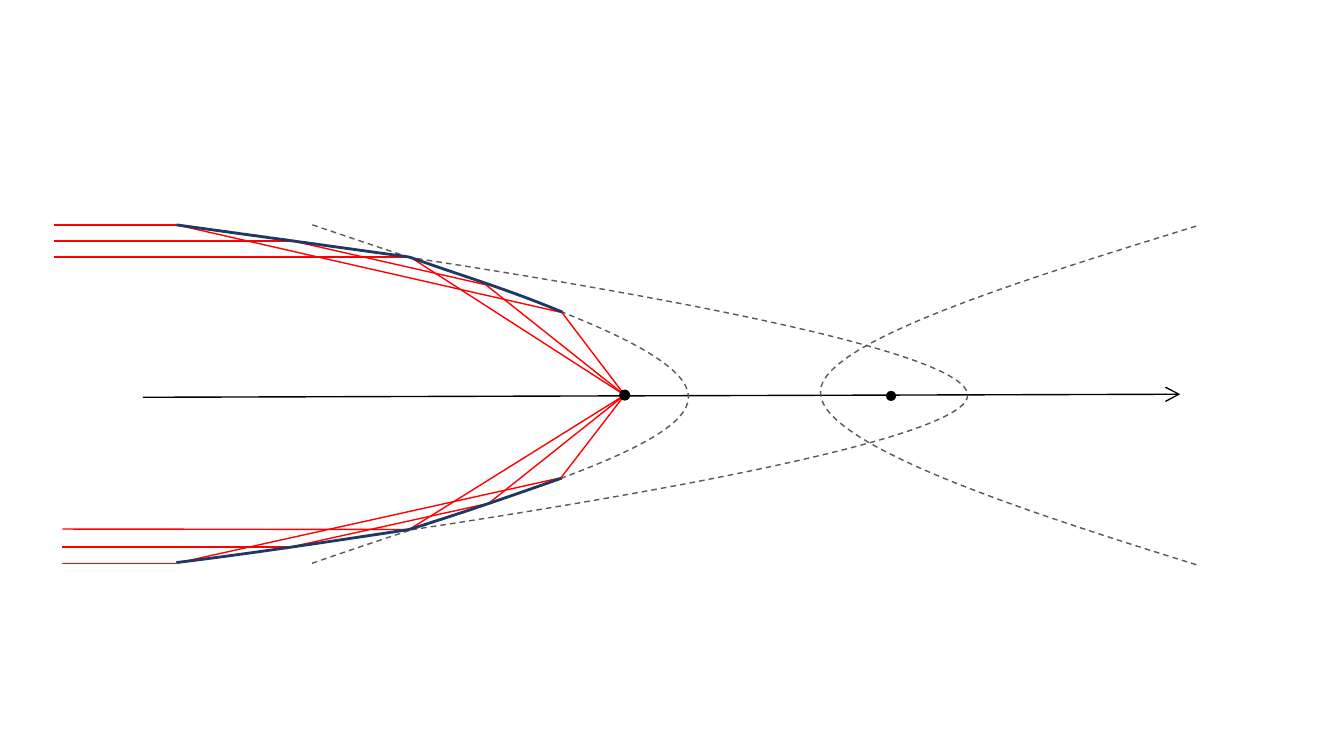
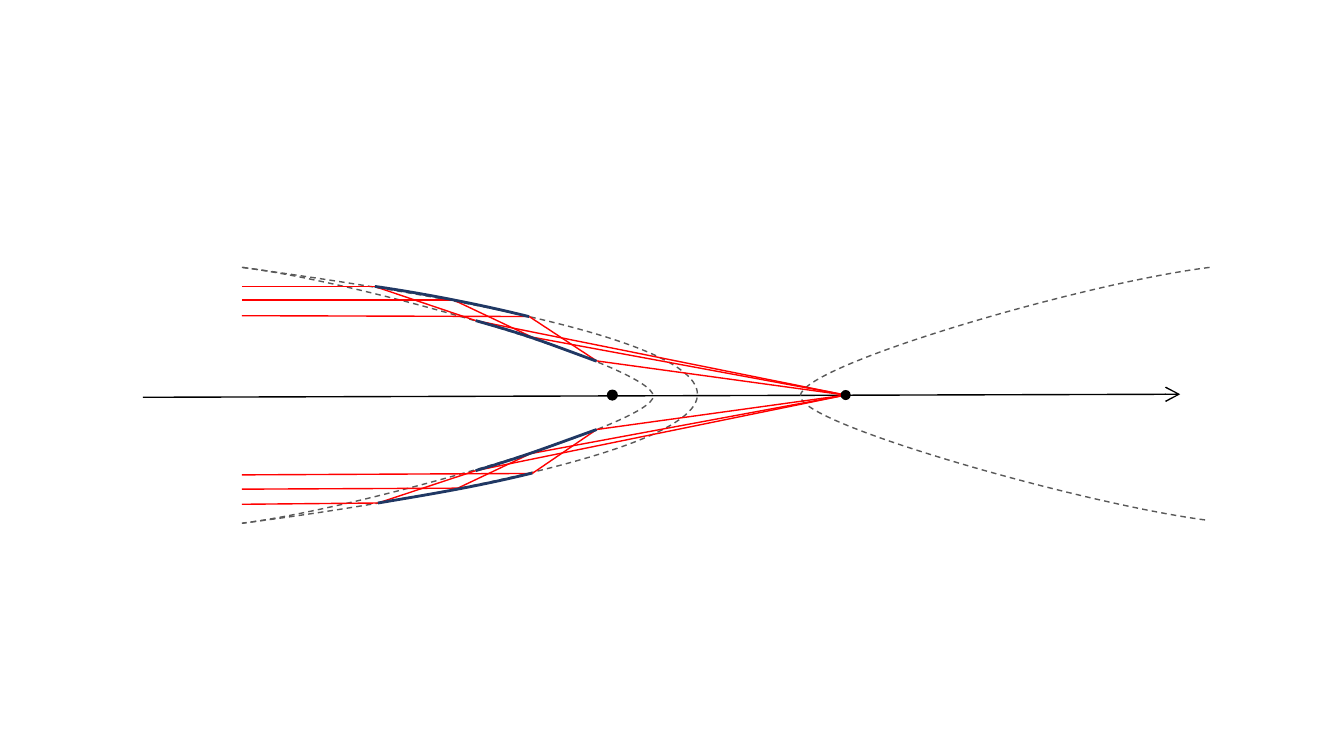
"""Two ray diagrams of nested grazing-incidence mirrors."""
import itertools

import pptx
import pptx.dml.color
import pptx.enum.dml
import pptx.enum.shapes
import pptx.oxml
import pptx.oxml.ns
import pptx.util

Pt = pptx.util.Pt

BLACK, GRAY, RED, NAVY = "000000", "595959", "FF0000", "203864"
AXIS = ((102, 283.8), (843, 281.6))

DIAGRAMS = [
    {
        "focus": (446.2, 282.2),
        "dots": [((636.5, 282.8), 7.2), ((446.2, 282.2), 7.9)],
        "conics": [
            [(126, 160.6), (193.7, 168.5), (690.5, 236.2), (691.2, 282.2),
             (691.9, 326.2), (208.1, 391.7), (126, 401.8)],
            [(223.2, 160.6), (349.9, 203.8), (491.8, 246.2), (491.8, 283.7),
             (491.8, 319.7), (359.3, 355), (222.5, 402.5)],
            [(854.6, 403.4), (730.8, 365), (585.4, 317.5), (586.1, 280.1),
             (585.4, 244.8), (729.4, 200.2), (854.6, 161.5)],
        ],
        "rays": [
            [(38.9, 160.6), (126, 160.6), (401.4, 223.2)],
            [(38.9, 172.1), (209, 172.1), (347, 203.4)],
            [(38.9, 183.6), (293, 183.6)],
            [(44.6, 402.3), (126, 402.3), (400.7, 341.3)],
            [(44.6, 390.7), (207.7, 390.7), (349, 359.6)],
            [(44.6, 377.9), (292.3, 378.2)],
        ],
        "mirrors": [
            [(126, 401.8), (180, 395.3), (236.9, 386.6), (292.3, 378.2)],
            [(292.3, 378.2), (338.4, 363.6), (358.6, 356.4), (401, 341.6)],
            [(292.3, 183.6), (332.6, 198), (360.7, 205.9), (401.8, 223)],
            [(126, 160.6), (292.3, 183.6)],
        ],
    },
    {
        "focus": (604.1, 282.2),
        "dots": [((437.4, 282.2), 7.9), ((604.1, 282.2), 7.2)],
        "conics": [
            [(173.5, 191), (241.2, 200.9), (497.5, 234.7), (498.2, 281.5),
             (499, 326.2), (254.9, 363.6), (172.8, 373.7)],
            [(172.8, 191), (263.5, 202.3), (466.6, 262.1), (466.6, 283),
             (466.6, 303.1), (261.4, 362.2), (173.5, 373.7)],
            [(864, 191), (773.3, 202.3), (571, 261.4), (571.7, 283),
             (571.7, 303.1), (776.2, 360.7), (863.3, 371.7)],
        ],
        "rays": [
            [(172.8, 204.7), (267.8, 204.7), (339.8, 229)],
            [(172.8, 214.3), (324, 214.3), (380, 240.8)],
            [(172.8, 225.5), (378, 226.1), (426.2, 257.8)],
            [(172.8, 360.2), (270, 359.3), (339.8, 336.2)],
            [(172.8, 349.4), (327, 348.7), (379, 324)],
            [(172.8, 339.2), (380.2, 338.2), (426.2, 306.8)],
        ],
        "mirrors": [
            [(270, 359.3), (304.6, 353.5), (339.8, 347.8), (380.2, 337.9)],
            [(267.8, 204.6), (301.7, 209.5), (342.7, 217.4), (378, 226.2)],
            [(339.8, 336.2), (378, 324.7), (382.3, 322.6), (426.2, 306.8)],
            [(339.8, 229), (378, 239.8), (382.3, 241.9), (426.2, 258)],
        ],
    },
]


def color(value):
    return pptx.dml.color.RGBColor.from_string(value)


def element(markup):
    tag, rest = markup.split(" ", 1) if " " in markup else (markup, "")
    return pptx.oxml.parse_xml(
        f"<a:{tag} {pptx.oxml.ns.nsdecls('a')} {rest}/>")


def style_line(line, value, width):
    line.color.rgb = color(value)
    line.width = Pt(width)


def add_line(slide, start, end, value):
    connector = slide.shapes.add_connector(
        pptx.enum.shapes.MSO_CONNECTOR.STRAIGHT,
        *(Pt(number) for number in start + end))
    style_line(connector.line, value, 1)
    connector._element.spPr.append(element("effectLst"))
    return connector


def add_axis(slide):
    connector = add_line(slide, *AXIS, BLACK)
    connector.line._get_or_add_ln().append(
        element("tailEnd type='arrow' w='lg' len='lg'"))


def bend_segments(shape, controls):
    lines = shape._element.findall(".//" + pptx.oxml.ns.qn("a:lnTo"))
    for index, line in enumerate(lines):
        curve = element("cubicBezTo")
        for x, y in controls[3 * index + 1:3 * index + 4]:
            curve.append(element(
                f"pt x='{Pt(x) - shape.left}' y='{Pt(y) - shape.top}'"))
        line.getparent().replace(line, curve)


def add_curve(slide, controls, value, width):
    straight = len(controls) == 2
    anchors = controls if straight else controls[::3]
    points = [(Pt(x), Pt(y)) for x, y in anchors]
    builder = slide.shapes.build_freeform(*points[0])
    builder.add_line_segments(points[1:], close=False)
    shape = builder.convert_to_shape()
    if not straight:
        bend_segments(shape, controls)
    shape.shadow.inherit = False
    shape.fill.background()
    style_line(shape.line, value, width)
    return shape


def add_dot(slide, center, diameter):
    left, top = (Pt(number - diameter / 2) for number in center)
    shape = slide.shapes.add_shape(
        pptx.enum.shapes.MSO_SHAPE.OVAL, left, top, Pt(diameter), Pt(diameter))
    shape.shadow.inherit = False
    shape.fill.solid()
    shape.fill.fore_color.rgb = color(BLACK)
    shape.line.fill.background()


def add_diagram(slide, diagram):
    add_axis(slide)
    for conic in diagram["conics"]:
        shape = add_curve(slide, conic, GRAY, 1)
        shape.line.dash_style = pptx.enum.dml.MSO_LINE.DASH
    for ray in diagram["rays"]:
        for start, end in itertools.pairwise(ray + [diagram["focus"]]):
            add_line(slide, start, end, RED)
    for mirror in diagram["mirrors"]:
        add_curve(slide, mirror, NAVY, 2)
    for center, diameter in diagram["dots"]:
        add_dot(slide, center, diameter)


def main():
    presentation = pptx.Presentation()
    presentation.slide_width, presentation.slide_height = Pt(960), Pt(540)
    for diagram in DIAGRAMS:
        slide = presentation.slides.add_slide(presentation.slide_layouts[6])
        add_diagram(slide, diagram)
    presentation.save("out.pptx")


if __name__ == "__main__":
    main()
